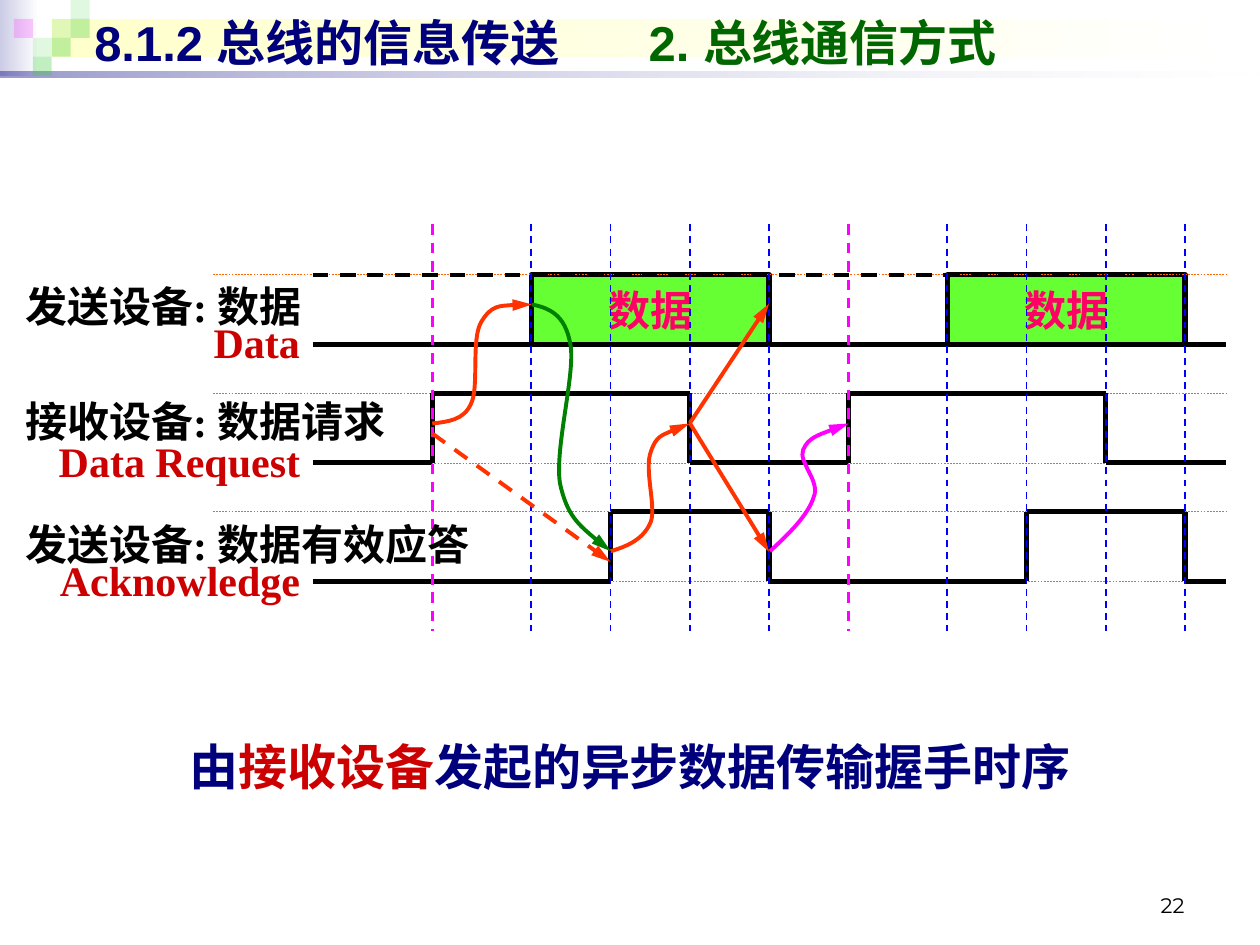
from itertools import pairwise

from lxml.etree import SubElement
from pptx import Presentation
from pptx.dml.color import RGBColor
from pptx.enum.dml import MSO_LINE_DASH_STYLE as Dash
from pptx.enum.shapes import MSO_CONNECTOR, MSO_SHAPE
from pptx.enum.text import MSO_ANCHOR as Anchor, PP_ALIGN as Align
from pptx.oxml.ns import qn
from pptx.util import Pt

BLACK = RGBColor(0x00, 0x00, 0x00)
WHITE = RGBColor(0xFF, 0xFF, 0xFF)
NAVY = RGBColor(0x00, 0x00, 0x7D)
LILAC = RGBColor(0xCC, 0xCC, 0xE6)
CREAM = RGBColor(0xFF, 0xFF, 0xCC)
LEAF = RGBColor(0x33, 0xCC, 0x33)
FOREST = RGBColor(0x00, 0x66, 0x00)
GREEN = RGBColor(0x00, 0x80, 0x00)
LIME = RGBColor(0x66, 0xFF, 0x33)
RED = RGBColor(0xCC, 0x00, 0x00)
ROSE = RGBColor(0xFF, 0x00, 0x66)
ORANGE = RGBColor(0xFF, 0x33, 0x00)
AMBER = RGBColor(0xFF, 0x66, 0x00)
PINK = RGBColor(0xFF, 0x00, 0xFF)
BLUE = RGBColor(0x00, 0x00, 0xFF)

# left, top, width, height, left colour, left opacity, right opacity
BANDS = [
    (0, 0, 22.3, 43.2, LILAC, 100, 100),
    (29.5, 10.8, 687.6, 21.6, CREAM, 100, 100),
    (0, 41, 720, 3.6, NAVY, 40, 10),
]
# column, row, colour, opacity
TILES = [(2, 1, LEAF, 15), (3, 0, LEAF, 15), (3, 1, LEAF, 30), (1, 2, LEAF, 15),
         (0, 1, PINK, 20), (2, 2, LEAF, 30), (1, 3, LEAF, 30)]
TILE = 10.8

TITLE = [("8.1.2 总线的信息传送\t", NAVY), ("2. 总线通信方式", FOREST)]
CAPTION = [("由", NAVY), ("接收设备", RED), ("发起的异步数据传输握手时序", NAVY)]
# name, top, width, then English name, its left, top, width
LABELS = [
    ("发送设备: 数据", 157, 209.5, "Data", 87.8, 177.1, 90.7),
    ("接收设备: 数据请求", 222.5, 260.6, "Data Request", 20.2, 245.5, 158.4),
    ("发送设备: 数据有效应答", 293, 294.5, "Acknowledge", 20.2, 313.2, 158.4),
]

START, END, CYCLE = 178.6, 700.6, 237.7
STEPS = (0, 56.6, 101.9, 147.2, 192.5)
T = [247 + CYCLE * c + s for c in range(2) for s in STEPS]
HIGH = [157 + 67.7 * row for row in range(3)]
LOW = [y + 39.8 for y in HIGH]
TOP, BOTTOM = 128.2, 360.7
# signal row and its rise and fall times
PULSES = [(1, [(T[0], T[3]), (T[5], T[8])]), (2, [(T[2], T[4]), (T[7], T[9])])]

SEND, ASK, ACK = 173.5, 241.8, 315.4  # heights where the arrows touch each signal
CURVES = [
    (ORANGE, [(T[0], ASK), (255.6, 241.2), (265, 240.5), (269.3, 231.1),
              (274.3, 221.8), (269.3, 193.7), (275, 184.3),
              (280.8, 174.2), (292.3, 174.2), (T[1], SEND)]),
    (GREEN, [(T[1], SEND), (313.2, 176.4), (323.3, 179.3), (326.2, 196.6),
             (329, 213.1), (316.8, 255.6), (320.4, 275.8),
             (324, 295.2), (336.2, 305.3), (T[2], ACK)]),
    (ORANGE, [(T[2], ACK), (358.6, 311.8), (367.9, 308.2), (371.5, 298.1),
              (375.1, 288.7), (367.9, 267.8), (371.5, 258.5),
              (375.1, 249.1), (384.5, 245.5), (T[3], ASK)]),
    (PINK, [(T[4], ACK), (450.7, 304.6), (462.2, 294.5), (465.1, 284.4),
            (468.7, 275), (455.8, 264.2), (458.6, 257),
            (462.2, 249.8), (473.8, 245.5), (T[5], ASK)]),
]

prs = Presentation()
prs.slide_width, prs.slide_height = Pt(720), Pt(540)
shapes = prs.slides.add_slide(prs.slide_layouts[6]).shapes


def fade(node, percent):
    SubElement(node, qn("a:alpha"), val=str(percent * 1000))


def block(x, y, w, h):
    shape = shapes.add_shape(MSO_SHAPE.RECTANGLE, Pt(x), Pt(y), Pt(w), Pt(h))
    shape.shadow.inherit = False
    shape.line.fill.background()
    return shape


def stroke(shape, color, width, dash=None, arrow=False):
    shape.line.color.rgb = color
    shape.line.width = Pt(width)
    if dash:
        shape.line.dash_style = dash
    if arrow:
        SubElement(shape._element.find(".//" + qn("a:ln")), qn("a:tailEnd"),
                   type="triangle", len="lg")


def line(x1, y1, x2, y2, color, width, **style):
    link = shapes.add_connector(MSO_CONNECTOR.STRAIGHT, Pt(x1), Pt(y1), Pt(x2), Pt(y2))
    stroke(link, color, width, **style)
    SubElement(link._element.spPr, qn("a:effectLst"))


def curve(points, color):
    """Draw an arrow through a start point and groups of three Bezier points."""
    pen = shapes.build_freeform(*points[0], scale=Pt(1))
    pen.add_line_segments(points[1:], close=False)
    shape = pen.convert_to_shape()
    shape.shadow.inherit = False
    shape.fill.background()
    stroke(shape, color, 2.25, arrow=True)
    track = shape._element.find(".//" + qn("a:path"))
    legs = track.findall(qn("a:lnTo"))
    for i in range(0, len(legs), 3):
        bend = SubElement(track, qn("a:cubicBezTo"))
        for leg in legs[i:i + 3]:
            bend.append(leg[0])
            track.remove(leg)


def write(runs, box=None, shape=None, size=24, font="Times New Roman", bold=True,
          align=Align.LEFT, anchor=Anchor.TOP, left=7.2, wrap=True, tab=None):
    """Put (text, colour) runs in a shape, or in a new text box."""
    frame = (shape or shapes.add_textbox(*map(Pt, box))).text_frame
    frame.word_wrap = wrap
    frame.vertical_anchor = anchor
    frame.margin_left = Pt(left)
    para = frame.paragraphs[0]
    para.alignment = align
    if tab:
        tabs = SubElement(para._p.get_or_add_pPr(), qn("a:tabLst"))
        SubElement(tabs, qn("a:tab"), pos=str(Pt(tab)), algn="l")
    for text, color in runs:
        run = para.add_run()
        run.text = text
        run.font.size, run.font.name, run.font.bold = Pt(size), font, bold
        run.font.color.rgb = color


# Header
for x, y, w, h, color, *alphas in BANDS:
    fill = block(x, y, w, h).fill
    fill.gradient()
    fill.gradient_angle = 0
    for stop, tone, alpha in zip(fill.gradient_stops, (color, WHITE), alphas):
        stop.color.rgb = tone
        if alpha < 100:
            fade(stop._gs[0], alpha)
for col, row, color, alpha in TILES:
    tile = block(8 + TILE * col, TILE * row, TILE, TILE)
    tile.fill.solid()
    tile.fill.fore_color.rgb = color
    fade(tile._element.spPr.find(".//" + qn("a:srgbClr")), alpha)
write(TITLE, (46.8, 3.6, 648, 41), size=28, font="Arial", anchor=Anchor.MIDDLE, tab=316.8)

# Data boxes, level guides and signals
for x in (T[1], T[6]):
    data = block(x, HIGH[0], T[4] - T[1], LOW[0] - HIGH[0])
    data.fill.solid()
    data.fill.fore_color.rgb = LIME
    stroke(data, BLACK, 3)
    write([("数据", ROSE)], shape=data, font="Arial", align=Align.CENTER,
          anchor=Anchor.MIDDLE, wrap=False)
# low guides start right of the English names, so that none crosses a word
for left, levels in ((121.7, HIGH), (START, LOW)):
    for y in levels:
        line(left, y, END, y, AMBER, 0.25, dash=Dash.DASH)
line(START, HIGH[0], 655.2, HIGH[0], BLACK, 2.25, dash=Dash.DASH)
line(START, LOW[0], END, LOW[0], BLACK, 3)
for row, pulses in PULSES:
    up, down = HIGH[row], LOW[row]
    wave = [(START, down)]
    for rise, drop in pulses:
        wave += [(rise, down), (rise, up), (drop, up), (drop, down)]
    for a, b in pairwise(wave + [(END, down)]):
        line(*a, *b, BLACK, 3)

# Time marks
for i, x in enumerate(T):
    color, width = (BLUE, 1) if i % len(STEPS) else (PINK, 1.5)
    line(x, TOP, x, BOTTOM, color, width, dash=Dash.DASH)

# Labels
for name, y, w, term, x, top, width in LABELS:
    write([(name, BLACK)], (14.4, y, w, 36), left=0)
    write([(term, RED)], (x, top, width, 36), align=Align.RIGHT)

# Handshake arrows
for color, points in CURVES:
    curve(points, color)
for y in (SEND, ACK):
    line(T[3], ASK, T[4], y, ORANGE, 2.25, arrow=True)
line(T[0], 247.7, T[2], 321.1, ORANGE, 2.25, dash=Dash.DASH, arrow=True)

write(CAPTION, (82.1, 417.6, 555.8, 41), size=28, align=Align.CENTER)
write([("22", BLACK)], (516.2, 491.8, 167.8, 36), size=12, font="Montserrat",
      bold=False, align=Align.RIGHT, anchor=Anchor.BOTTOM)
prs.save("out.pptx")
